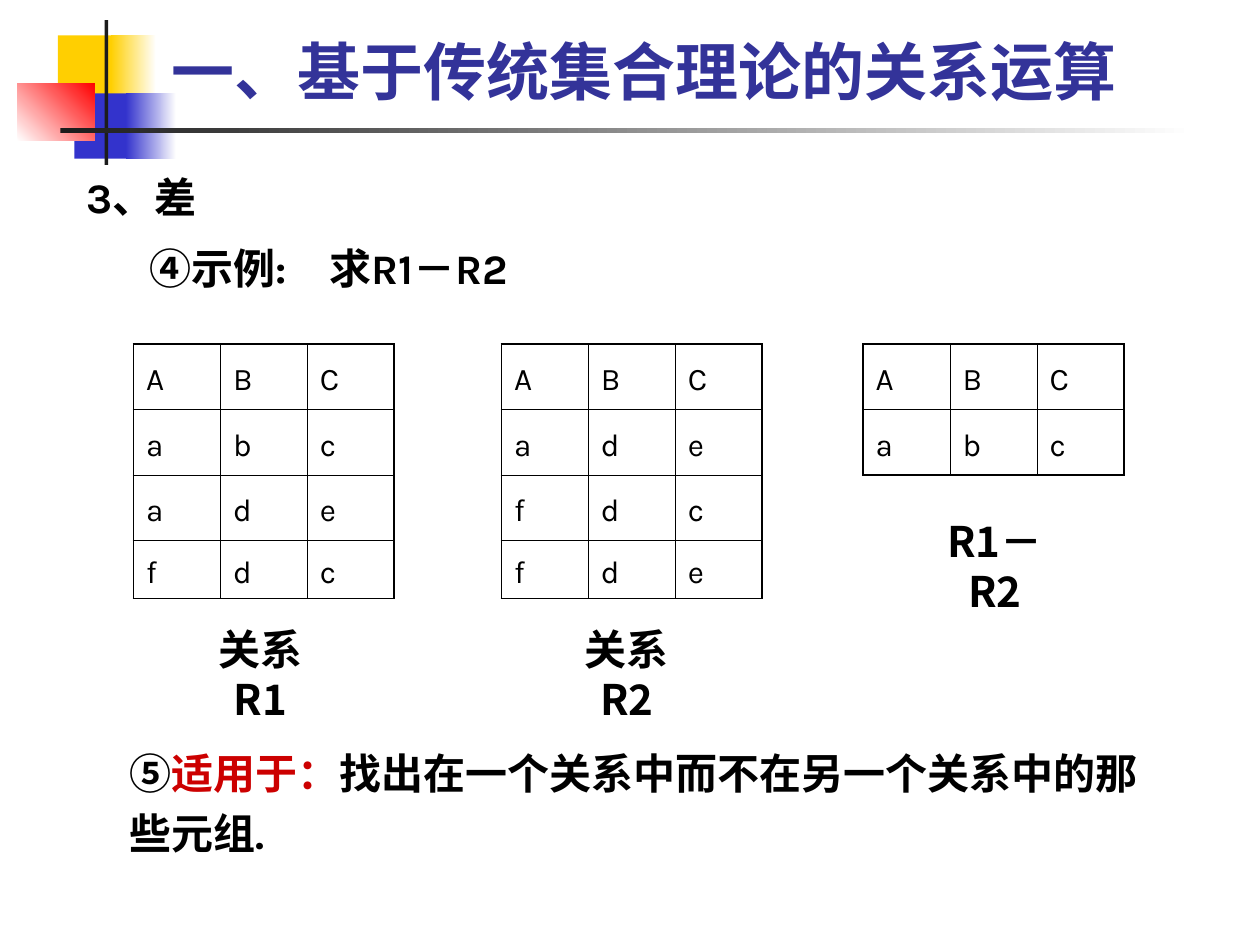
from typing import NamedTuple

from lxml.etree import SubElement
from pptx import Presentation
from pptx.dml.color import RGBColor
from pptx.enum.shapes import MSO_SHAPE
from pptx.enum.text import MSO_ANCHOR, PP_ALIGN
from pptx.oxml.ns import qn
from pptx.util import Inches, Pt

LATIN, CJK = "Karla", "Noto Sans CJK SC"
BLACK = "000000"
COL, ROW, LAST = 0.69, 0.52, 0.46
THIN, THICK = 0.45, 1.08


class Block(NamedTuple):
    left: float
    top: float
    width: float
    height: float
    start: str
    end: str = ""
    angle: int = 0


class Relation(NamedTuple):
    left: float
    rows: list[str]
    heights: list[float]
    name: str
    label: tuple[float, float, float]


BLOCKS = [
    Block(0.46, 0.28, 0.48, 0.52, "FFCF01"),
    Block(0.88, 0.28, 0.36, 0.52, "FFCF01", "FFFFFF"),
    Block(0.59, 0.74, 0.46, 0.52, "3333CC"),
    Block(1, 0.74, 0.4, 0.52, "3333CC", "FFFFFF"),
    Block(0.14, 0.66, 0.61, 0.46, "FFFFFF", "FF0000", 45),
    Block(0.83, 0.16, 0.03, 1.15, "1C1C1C"),
    Block(0.48, 1.02, 9, 0.04, "1C1C1C", "FFFFFF"),
]
FOUR = [ROW, ROW, ROW, LAST]
RELATIONS = [
    Relation(1.06, ["ABC", "abc", "ade", "fdc"], FOUR, "关系R1", (1.39, 4.9, 1.35)),
    Relation(3.98, ["ABC", "ade", "fdc", "fde"], FOUR, "关系R2", (4.3, 4.9, 1.35)),
    Relation(6.85, ["ABC", "abc"], [ROW, ROW], "R1－R2", (7.15, 4.04, 1.49)),
]


def paint(target, color: str) -> None:
    target.rgb = RGBColor.from_string(color)


def style(font, size: float, name: str = LATIN, color: str = BLACK,
          bold: bool = True) -> None:
    font.size, font.name, font.bold = Pt(size), name, bold
    paint(font.color, color)


def indent(para, left: float, first: float = 0) -> None:
    props = para._p.get_or_add_pPr()
    props.set("marL", str(Inches(left)))
    props.set("indent", str(Inches(first)))


def add_box(slide, left: float, top: float, width: float, height: float):
    box = slide.shapes.add_textbox(
        Inches(left), Inches(top), Inches(width), Inches(height))
    box.text_frame.word_wrap = True
    return box.text_frame


def add_block(slide, block: Block) -> None:
    shape = slide.shapes.add_shape(
        MSO_SHAPE.RECTANGLE, *(Inches(n) for n in block[:4]))
    shape.shadow.inherit = False
    shape.line.fill.background()
    if block.end:
        shape.fill.gradient()
        shape.fill.gradient_angle = block.angle
        for stop, color in zip(shape.fill.gradient_stops, (block.start, block.end)):
            paint(stop.color, color)
    else:
        shape.fill.solid()
        paint(shape.fill.fore_color, block.start)


def add_border(cell, widths: dict[str, float]) -> None:
    props = cell._tc.get_or_add_tcPr()
    for place, (side, width) in enumerate(widths.items()):
        line = props.makeelement(qn(f"a:ln{side}"), {"w": str(Pt(width))})
        fill = SubElement(line, qn("a:solidFill"))
        SubElement(fill, qn("a:srgbClr"), val=BLACK)
        props.insert(place, line)


def add_relation(slide, rel: Relation) -> None:
    """Draw the table and its caption."""
    rows, cols = len(rel.rows), len(rel.rows[0])
    table = slide.shapes.add_table(
        rows, cols, Inches(rel.left), Inches(2.73),
        Inches(COL * cols), Inches(sum(rel.heights))).table
    table.first_row = table.horz_banding = False
    for col in table.columns:
        col.width = Inches(COL)
    for r, (values, height) in enumerate(zip(rel.rows, rel.heights)):
        table.rows[r].height = Inches(height)
        for c, value in enumerate(values):
            cell = table.cell(r, c)
            cell.text = value
            cell.vertical_anchor = MSO_ANCHOR.MIDDLE
            cell.fill.background()
            para = cell.text_frame.paragraphs[0]
            para.line_spacing = 1.2
            style(para.font, 18, bold=False)
            add_border(cell, {
                "L": THICK if c == 0 else THIN,
                "R": THICK if c == cols - 1 else THIN,
                "T": THICK if r <= 1 else THIN,
                "B": THICK if r in (0, rows - 1) else THIN,
            })

    left, top, width = rel.label
    frame = add_box(slide, left, top, width, 0.9)
    frame.margin_left = frame.margin_right = Inches(0.2)
    para = frame.paragraphs[0]
    para.text = rel.name
    para.alignment = PP_ALIGN.CENTER
    style(para.font, 24, CJK)


def add_title(slide) -> None:
    title = slide.shapes.title
    title.left, title.top = Inches(1.26), Inches(0.23)
    title.width, title.height = Inches(8.52), Inches(0.68)
    title.text_frame.vertical_anchor = MSO_ANCHOR.BOTTOM
    para = title.text_frame.paragraphs[0]
    para.text = "一、基于传统集合理论的关系运算"
    para.alignment = PP_ALIGN.LEFT
    style(para.font, 36, color="333399")
    slide.shapes._spTree.append(title._element)


def add_body(slide) -> None:
    frame = add_box(slide, 0.59, 1.23, 8.82, 1.3)
    head, task = frame.paragraphs[0], frame.add_paragraph()
    head.text, task.text = "3、差", "④示例:\u3000求R1－R2".replace("\u3000", "　")
    indent(head, 0.38, -0.38)
    indent(task, 0.81, -0.31)
    task.space_before = Pt(6)
    for para in (head, task):
        para.line_spacing = 1.2
        style(para.font, 24)


def add_use(slide) -> None:
    """Add the closing note on when the operation applies."""
    para = add_box(slide, 0.43, 5.8, 8.9, 1.06).paragraphs[0]
    indent(para, 0.5)
    para.line_spacing = 1.2
    for text, name, color in (
        ("⑤", CJK, BLACK),
        ("适用于：", LATIN, "CC0000"),
        ("找出在一个关系中而不在另一个关系中的那些元组.", LATIN, BLACK),
    ):
        run = para.add_run()
        run.text = text
        style(run.font, 24, name, color)


def main() -> None:
    deck = Presentation()
    deck.slide_width, deck.slide_height = Inches(10), Inches(7.5)
    slide = deck.slides.add_slide(deck.slide_layouts[5])
    for block in BLOCKS:
        add_block(slide, block)
    add_title(slide)
    add_body(slide)
    for rel in RELATIONS:
        add_relation(slide, rel)
    add_use(slide)
    deck.save("out.pptx")


if __name__ == "__main__":
    main()
